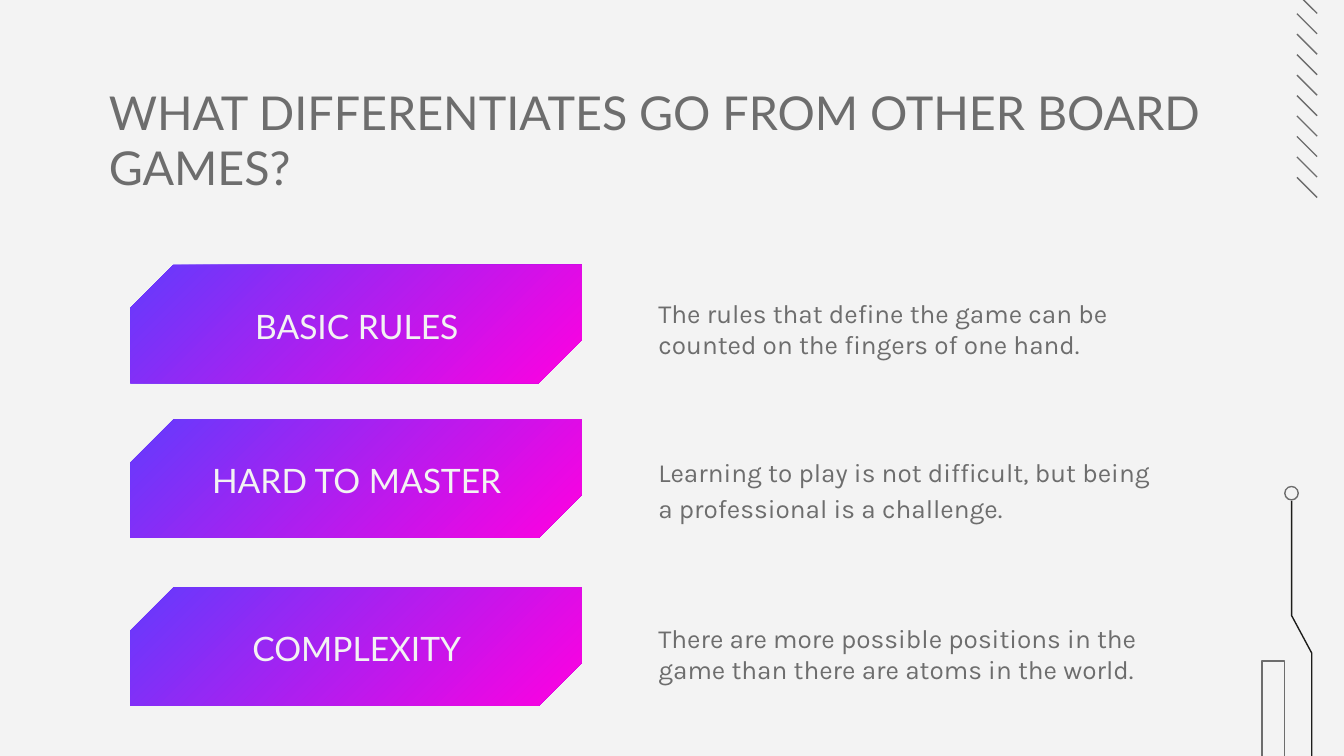
from dataclasses import dataclass

from lxml.etree import SubElement
from pptx import Presentation
from pptx.dml.color import RGBColor
from pptx.enum.shapes import MSO_CONNECTOR, MSO_SHAPE
from pptx.enum.text import MSO_ANCHOR, MSO_AUTO_SIZE, PP_ALIGN
from pptx.oxml.ns import qn
from pptx.util import Inches, Pt


@dataclass(frozen=True)
class Theme:
    """Colours, fonts and sizes of the deck."""

    background: RGBColor = RGBColor.from_string("F3F3F3")
    gray: RGBColor = RGBColor.from_string("6D6D6D")
    black: RGBColor = RGBColor.from_string("1D1D1B")
    gradient: tuple = (RGBColor.from_string("633BFD"), RGBColor.from_string("FF00E0"))
    heading_font: str = "Lato"
    body_font: str = "Karla"
    title_size: int = 25
    label_size: int = 18
    body_size: int = 14
    line_width: float = 0.75


class SlideBuilder:
    """Draws styled elements on the current slide."""

    def __init__(self, slide, theme):
        self.slide = slide
        self.theme = theme
        slide.background.fill.solid()
        slide.background.fill.fore_color.rgb = theme.background

    def format_text(self, shape, text, font, size, color, align=PP_ALIGN.LEFT, spacing=1.0):
        """Set and style the text of a shape."""
        frame = shape.text_frame
        frame.text = text
        frame.word_wrap = True
        frame.auto_size = MSO_AUTO_SIZE.NONE
        frame.vertical_anchor = MSO_ANCHOR.TOP
        frame.margin_left = frame.margin_right = Inches(0.1)
        frame.margin_top = frame.margin_bottom = Inches(0.1)
        paragraph = frame.paragraphs[0]
        paragraph.alignment = align
        paragraph.line_spacing = spacing
        run_font = paragraph.runs[0].font
        run_font.name = font
        run_font.size = Pt(size)
        run_font.color.rgb = color

    def title(self, text, left, top, width, height):
        """Place and fill the title placeholder."""
        shape = self.slide.shapes.title
        shape.left, shape.top = Inches(left), Inches(top)
        shape.width, shape.height = Inches(width), Inches(height)
        theme = self.theme
        self.format_text(shape, text, theme.heading_font, theme.title_size, theme.gray)

    def text_box(self, left, top, width, height):
        """Add an empty text box."""
        return self.slide.shapes.add_textbox(
            Inches(left), Inches(top), Inches(width), Inches(height)
        )

    def label(self, text, left, top, width, height):
        """Add a centred light heading."""
        theme = self.theme
        shape = self.text_box(left, top, width, height)
        self.format_text(shape, text, theme.heading_font, theme.label_size,
                         theme.background, PP_ALIGN.CENTER)

    def body(self, text, left, top, width, height, spacing):
        """Add a description."""
        theme = self.theme
        shape = self.text_box(left, top, width, height)
        self.format_text(shape, text, theme.body_font, theme.body_size,
                         theme.gray, spacing=spacing)

    def banner(self, left, top, width, height):
        """Add a gradient rectangle with two snipped corners."""
        shape = self.slide.shapes.add_shape(
            MSO_SHAPE.SNIP_2_DIAG_RECTANGLE,
            Inches(left), Inches(top), Inches(width), Inches(height),
        )
        shape.adjustments[0] = 0.365
        shape.adjustments[1] = 0
        shape.shadow.inherit = False
        shape.line.fill.background()
        shape.fill.gradient()
        shape.fill.gradient_angle = 315
        for stop, color, position in zip(shape.fill.gradient_stops, self.theme.gradient, (0, 1)):
            stop.color.rgb = color
            stop.position = position

    def style_outline(self, shape, color):
        """Leave a shape unfilled with a thin outline."""
        shape.shadow.inherit = False
        shape.fill.background()
        shape.line.color.rgb = color
        shape.line.width = Pt(self.theme.line_width)

    def outline(self, kind, left, top, width, height):
        """Add an unfilled preset shape."""
        shape = self.slide.shapes.add_shape(
            kind, Inches(left), Inches(top), Inches(width), Inches(height)
        )
        self.style_outline(shape, self.theme.gray)

    def polyline(self, points):
        """Add an open line through the points."""
        start, *rest = [(Inches(x), Inches(y)) for x, y in points]
        builder = self.slide.shapes.build_freeform(*start)
        builder.add_line_segments(rest, close=False)
        self.style_outline(builder.convert_to_shape(), self.theme.black)

    def line(self, start_x, start_y, end_x, end_y):
        """Add a thin straight line."""
        connector = self.slide.shapes.add_connector(
            MSO_CONNECTOR.STRAIGHT,
            Inches(start_x), Inches(start_y), Inches(end_x), Inches(end_y),
        )
        connector.line.color.rgb = self.theme.gray
        connector.line.width = Pt(self.theme.line_width)
        SubElement(connector._element.spPr, qn("a:effectLst"))


ROWS = (
    (1.97, 2.18, 2.11, 1.0, "BASIC RULES",
     "The rules that define the game can be counted on the fingers of one hand."),
    (3.12, 3.32, 3.26, 1.15, "HARD TO MASTER",
     "Learning to play is not difficult, but being a professional is a challenge."),
    (4.37, 4.57, 4.53, 1.0, "COMPLEXITY",
     "There are more possible positions in the game than there are atoms in the world."),
)
HATCH_COUNT = 10


def main():
    """Build and save the slide."""
    presentation = Presentation()
    presentation.slide_width = Inches(10)
    presentation.slide_height = Inches(10 * 9 / 16)
    slide = presentation.slides.add_slide(presentation.slide_layouts.get_by_name("Title Only"))
    builder = SlideBuilder(slide, Theme())

    builder.outline(MSO_SHAPE.RECTANGLE, 9.39, 4.92, 0.17, 2.54)
    builder.polyline([(9.61, 3.73), (9.61, 4.58), (9.76, 4.86), (9.76, 5.87)])
    builder.outline(MSO_SHAPE.OVAL, 9.56, 3.62, 0.1, 0.1)
    for index in range(HATCH_COUNT):
        top = -0.05 + 1.37 * index / (HATCH_COUNT - 1)
        builder.line(9.65, top, 9.8, top + 0.15)

    builder.title("WHAT DIFFERENTIATES GO FROM OTHER BOARD GAMES?", 0.71, 0.52, 8.91, 1.02)
    for banner_top, label_top, body_top, spacing, label, body in ROWS:
        builder.banner(0.97, banner_top, 3.36, 0.88)
        builder.label(label, 1.02, label_top, 3.27, 0.47)
        builder.body(body, 4.8, body_top, 4.01, 0.71, spacing)

    presentation.save("out.pptx")


if __name__ == "__main__":
    main()
